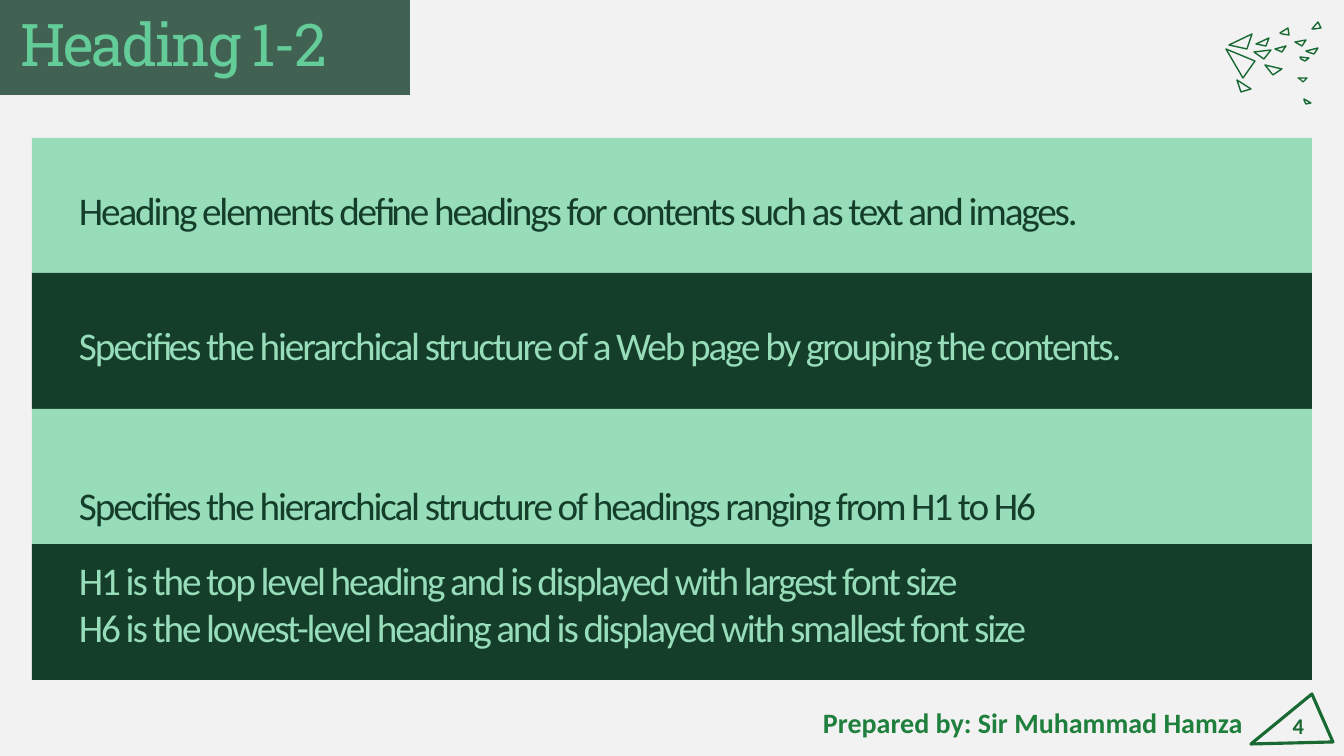
from lxml.etree import SubElement
from pptx import Presentation
from pptx.dml.color import RGBColor
from pptx.enum.shapes import MSO_SHAPE as Preset
from pptx.enum.text import MSO_ANCHOR as Anchor, PP_ALIGN as Align
from pptx.oxml.ns import qn
from pptx.util import Pt

PX = 12192000 / 1344
PAPER = RGBColor(0xF2, 0xF2, 0xF2)
FOREST = RGBColor(0x15, 0x3E, 0x2A)
MINT = RGBColor(0x97, 0xDD, 0xBA)
TITLE_GREEN = RGBColor(0x64, 0xCC, 0x98)
OUTLINE_GREEN = RGBColor(0x19, 0x69, 0x32)
AUTHOR_GREEN = RGBColor(0x1F, 0x7F, 0x3D)

TITLE = "Heading 1-2"
AUTHOR = "Prepared by: Sir Muhammad Hamza"
PAGE_NUMBER = "4"
BANDS = [
    (["Heading elements define headings for contents such as text and images."], 40, 0.9),
    (["Specifies the hierarchical structure of a Web page by grouping the contents."], 40, 0.9),
    (["Specifies the hierarchical structure of headings ranging from H1 to H6"], 16, 0.9),
    (["H1 is the top level heading and is displayed with largest font size",
      "H6 is the lowest-level heading and is displayed with smallest font size"], 30, None),
]
BADGE = [(1312, 694), (1333, 742), (1251, 744)]
SHARDS = [
    [(1252, 34), (1247, 49), (1229, 45)],
    [(1271, 50), (1264, 59), (1254, 52)],
    [(1269, 38), (1266, 46), (1256, 44)],
    [(1286, 46), (1282, 52), (1275, 49)],
    [(1288, 28), (1289, 35), (1282, 34), (1280, 33)],
    [(1309, 58), (1305, 61), (1301, 59), (1300, 57)],
    [(1318, 22), (1321, 28), (1315, 29), (1312, 29)],
    [(1306, 40), (1302, 46), (1295, 42)],
    [(1318, 48), (1314, 54), (1308, 52), (1306, 51)],
    [(1255, 61), (1243, 78), (1226, 49)],
    [(1282, 69), (1273, 75), (1265, 65)],
    [(1307, 78), (1303, 82), (1300, 79), (1298, 78)],
    [(1251, 89), (1241, 92), (1237, 80)],
    [(1311, 103), (1306, 104), (1304, 100), (1304, 99)],
]
BAND_LEFT, BAND_TOP, BAND_WIDTH, BAND_HEIGHT = 32, 138, 1280, 136
TWO_BAND_STEP = 271


def px(length):
    return round(length * PX)


def write(frame, lines, font, size, color, align=Align.LEFT, bold=False,
          line_spacing=None, tracking=None):
    frame.word_wrap = True
    for index, line in enumerate(lines):
        paragraph = frame.add_paragraph() if index else frame.paragraphs[0]
        paragraph.alignment = align
        if line_spacing:
            paragraph.line_spacing = line_spacing
        run = paragraph.add_run()
        run.text = line
        run.font.name = font
        run.font.size = Pt(size)
        run.font.bold = bold
        run.font.color.rgb = color
        if tracking:
            run.font._element.set("spc", str(round(tracking * 100)))


def add_panel(slide, box, fill, side_inset, bottom_inset):
    panel = slide.shapes.add_shape(Preset.RECTANGLE, *map(px, box))
    panel.shadow.inherit = False
    panel.fill.solid()
    panel.fill.fore_color.rgb = fill
    panel.line.fill.background()
    frame = panel.text_frame
    frame.vertical_anchor = Anchor.BOTTOM
    frame.margin_left = frame.margin_right = px(side_inset)
    frame.margin_top = 0
    frame.margin_bottom = px(bottom_inset)
    return panel


def add_label(slide, box, text, size, color, align):
    frame = slide.shapes.add_textbox(*map(px, box)).text_frame
    frame.vertical_anchor = Anchor.MIDDLE
    write(frame, [text], "Calibri", size, color, align, bold=True)


def add_outline(slide, corners, weight):
    builder = slide.shapes.build_freeform(*corners[0], scale=PX)
    builder.add_line_segments(corners[1:], close=True)
    outline = builder.convert_to_shape()
    outline.shadow.inherit = False
    outline.fill.background()
    outline.line.color.rgb = OUTLINE_GREEN
    outline.line.width = Pt(weight)


def main():
    deck = Presentation()
    deck.slide_width, deck.slide_height = px(1344), px(756)
    slide = deck.slides.add_slide(deck.slide_layouts[6])
    slide.background.fill.solid()
    slide.background.fill.fore_color.rgb = PAPER

    add_label(slide, (1282, 698, 32, 55), PAGE_NUMBER, 16, OUTLINE_GREEN, Align.RIGHT)
    add_outline(slide, BADGE, 2.25)
    add_label(slide, (806, 702, 454, 40), AUTHOR, 20, AUTHOR_GREEN, Align.CENTER)

    for index, (lines, bottom_inset, line_spacing) in enumerate(BANDS):
        fill, ink = (FOREST, MINT) if index % 2 else (MINT, FOREST)
        top = BAND_TOP + index * TWO_BAND_STEP // 2
        band = add_panel(slide, (BAND_LEFT, top, BAND_WIDTH, BAND_HEIGHT),
                         fill, 47, bottom_inset)
        write(band.text_frame, lines, "Calibri", 28, ink,
              line_spacing=line_spacing, tracking=-1.5)

    title = add_panel(slide, (0, 0, 410, 95), FOREST, 20, 16)
    title_color = title.fill._xPr.find(qn("a:solidFill"))[0]
    SubElement(title_color, qn("a:alpha")).set("val", "80000")
    write(title.text_frame, [TITLE], "Roboto Slab", 42, TITLE_GREEN,
          line_spacing=0.9, tracking=-1.5)

    for corners in SHARDS:
        add_outline(slide, corners, 1)

    deck.save("out.pptx")


if __name__ == "__main__":
    main()
